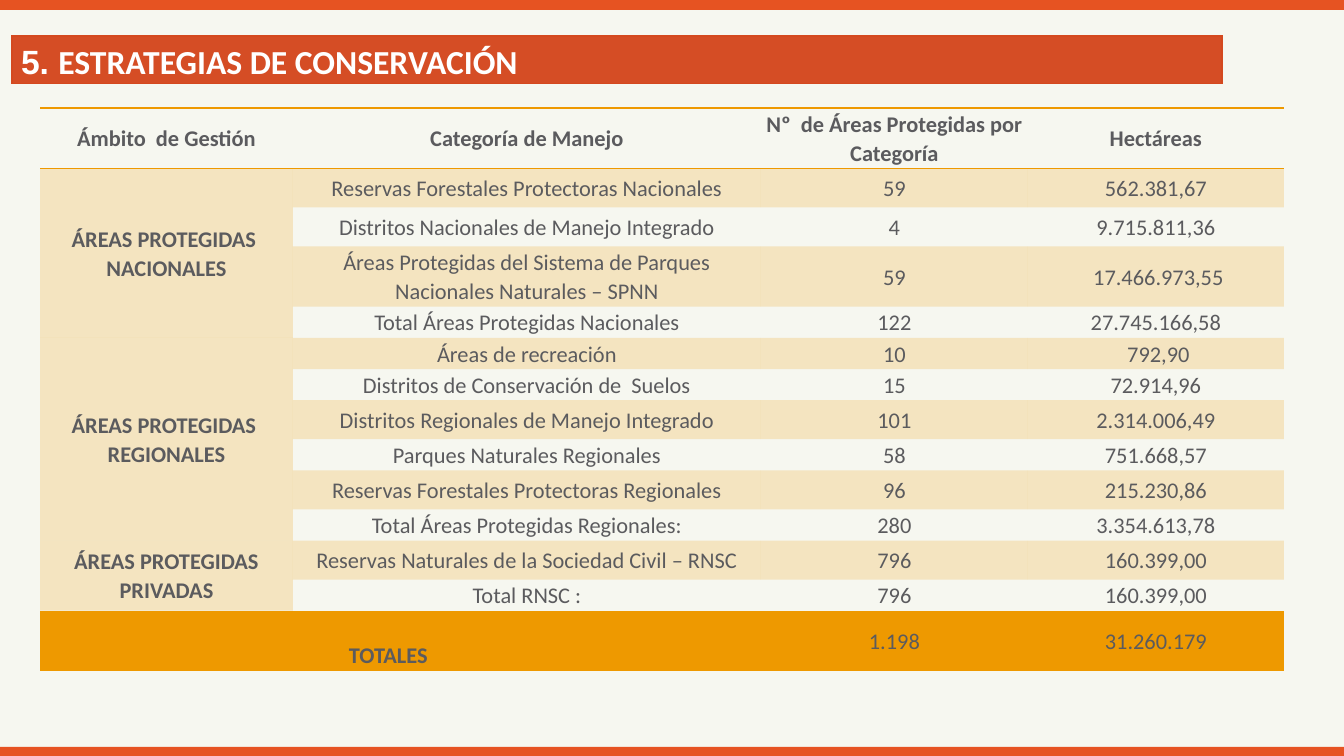
from dataclasses import dataclass

from lxml import etree
from pptx import Presentation
from pptx.dml.color import RGBColor
from pptx.enum.shapes import MSO_SHAPE
from pptx.enum.text import MSO_ANCHOR, PP_ALIGN
from pptx.oxml.ns import qn
from pptx.util import Pt

PX = 914400 / 134.4
RECT = MSO_SHAPE.RECTANGLE
LEFT, MID, JUST = PP_ALIGN.LEFT, PP_ALIGN.CENTER, PP_ALIGN.JUSTIFY
CENTER, BOTTOM = MSO_ANCHOR.MIDDLE, MSO_ANCHOR.BOTTOM
PLAIN = "{2D5ABB26-0587-4C30-8999-92F81FD0307C}"
HEX = {
    "page": "F6F7F0",
    "bar": "E65322",
    "band": "D54D25",
    "edge": "D4491F",
    "gold": "EE9900",
    "text": "5B5B5E",
    "white": "FFFFFF",
}
COLS = [253, 468, 267, 256]
LOW, ROOMY, TALL = 31, 39, 60


@dataclass
class Row:
    high: int
    label: str
    count: str
    area: str


@dataclass
class Group:
    name: str
    rows: list[Row]


HEAD = ["Ámbito  de Gestión", "Categoría de Manejo",
        "Nº  de Áreas Protegidas por Categoría", "Hectáreas"]
GROUPS = [
    Group("ÁREAS PROTEGIDAS  NACIONALES", [
        Row(ROOMY, "Reservas Forestales Protectoras Nacionales", "59", "562.381,67"),
        Row(ROOMY, "Distritos Nacionales de Manejo Integrado", "4", "9.715.811,36"),
        Row(TALL, "Áreas Protegidas del Sistema de Parques Nacionales Naturales – SPNN",
            "59", " 17.466.973,55"),
        Row(LOW, "Total Áreas Protegidas Nacionales", "122", "27.745.166,58"),
    ]),
    Group("ÁREAS PROTEGIDAS  REGIONALES", [
        Row(LOW, "Áreas de recreación", "10", " 792,90"),
        Row(LOW, "Distritos de Conservación de  Suelos", "15", "72.914,96"),
        Row(ROOMY, "Distritos Regionales de Manejo Integrado", "101", "2.314.006,49"),
        Row(LOW, "Parques Naturales Regionales", "58", "751.668,57"),
        Row(ROOMY, "Reservas Forestales Protectoras Regionales", "96", "215.230,86"),
        Row(LOW, "Total Áreas Protegidas Regionales:", "280", "3.354.613,78"),
    ]),
    Group("ÁREAS PROTEGIDAS PRIVADAS", [
        Row(ROOMY, "Reservas Naturales de la Sociedad Civil – RNSC", "796", "160.399,00"),
        Row(LOW, "Total RNSC :", "796", "160.399,00"),
    ]),
]
TOTAL = Row(TALL, "TOTALES", "1.198", "31.260.179")


def emu(px: int) -> int:
    return round(px * PX)


def color(key: str) -> RGBColor:
    return RGBColor.from_string(HEX[key])


def add_bar(slide, top: int) -> None:
    bar = slide.shapes.add_shape(RECT, 0, emu(top), emu(1344), emu(13))
    bar.shadow.inherit = False
    bar.fill.solid()
    bar.fill.fore_color.rgb = color("bar")
    bar.line.fill.background()


def add_grid(slide, left: int, top: int, cols: list[int], rows: list[int]):
    """Add a table free of the banded style."""
    grid = slide.shapes.add_table(
        len(rows), len(cols), emu(left), emu(top), emu(sum(cols)), emu(sum(rows))).table
    grid.first_row = grid.horz_banding = False
    grid._tbl.tblPr.find(qn("a:tableStyleId")).text = PLAIN
    for col, wide in zip(grid.columns, cols):
        col.width = emu(wide)
    for row, high in zip(grid.rows, rows):
        row.height = emu(high)
    return grid


def write(cell, text: str, bold: bool = False, align=MID, size: int = 12,
          ink: str = "text", gap: float = 1.07, side: int = 1, edge: int = 1) -> None:
    cell.margin_left = cell.margin_right = emu(side)
    cell.margin_top = cell.margin_bottom = emu(edge)
    cell.vertical_anchor = CENTER
    cell.text_frame.text = text
    para = cell.text_frame.paragraphs[0]
    para.alignment, para.line_spacing = align, gap
    font = para.runs[0].font
    font.name, font.size, font.bold = "Calibri", Pt(size), bold
    font.color.rgb = color(ink)


def rule(cell, sides: str, key: str, width: float) -> None:
    """Draw cell borders; sides lists letters in the order LRTB."""
    props = cell._tc.get_or_add_tcPr()
    for spot, side in enumerate(sides):
        line = etree.Element(qn(f"a:ln{side}"), w=str(Pt(width)))
        fill = etree.SubElement(line, qn("a:solidFill"))
        etree.SubElement(fill, qn("a:srgbClr"), val=HEX[key])
        props.insert(spot, line)


def tint(cell) -> None:
    """Fill a cell with gold at 20% opacity."""
    cell.fill.solid()
    cell.fill.fore_color.rgb = color("gold")
    tone = cell._tc.tcPr.find(".//" + qn("a:srgbClr"))
    etree.SubElement(tone, qn("a:alpha"), val="20000")


def add_title(slide) -> None:
    cell = add_grid(slide, 12, 36, [1210], [47]).cell(0, 0)
    write(cell, "5. ", True, JUST, 18, "white", 1.15, 9, 0)
    para = cell.text_frame.paragraphs[0]
    para.runs[0].font.name = "Arial"
    run = para.add_run()
    run.text = "ESTRATEGIAS DE CONSERVACIÓN"
    run.font.name, run.font.size, run.font.bold = "Calibri", Pt(18), True
    run.font.color.rgb = color("white")
    rule(cell, "LRTB", "edge", 0.75)
    cell.fill.solid()
    cell.fill.fore_color.rgb = color("band")


def add_areas(slide) -> None:
    rows = [row for group in GROUPS for row in group.rows] + [TOTAL]
    grid = add_grid(slide, 40, 108, COLS, [TALL] + [row.high for row in rows])
    last = len(rows)

    for col, text in enumerate(HEAD):
        write(grid.cell(0, col), text, True)
        rule(grid.cell(0, col), "TB", "gold", 1)
        rule(grid.cell(last, col), "B", "gold", 1)

    for num, row in enumerate(rows, 1):
        for col, text in enumerate([row.label, row.count, row.area], 1):
            if row is not TOTAL or col > 1:
                write(grid.cell(num, col), text)
        for col in range(len(COLS)):
            if col == 0 or num % 2:
                tint(grid.cell(num, col))

    top = 1
    for group in GROUPS:
        end = top + len(group.rows)
        grid.cell(top, 0).merge(grid.cell(end - 1, 0))
        write(grid.cell(top, 0), group.name, True)
        top = end

    sum_cell = grid.cell(last, 0)
    sum_cell.merge(grid.cell(last, 1))
    write(sum_cell, TOTAL.label, True, LEFT)
    sum_cell.margin_left = emu(309)
    sum_cell.vertical_anchor = BOTTOM


def main() -> None:
    deck = Presentation()
    deck.slide_width, deck.slide_height = emu(1344), emu(756)
    slide = deck.slides.add_slide(deck.slide_layouts[6])
    slide.background.fill.solid()
    slide.background.fill.fore_color.rgb = color("page")
    for top in (-3, 747):
        add_bar(slide, top)
    add_title(slide)
    add_areas(slide)
    deck.save("out.pptx")


if __name__ == "__main__":
    main()
